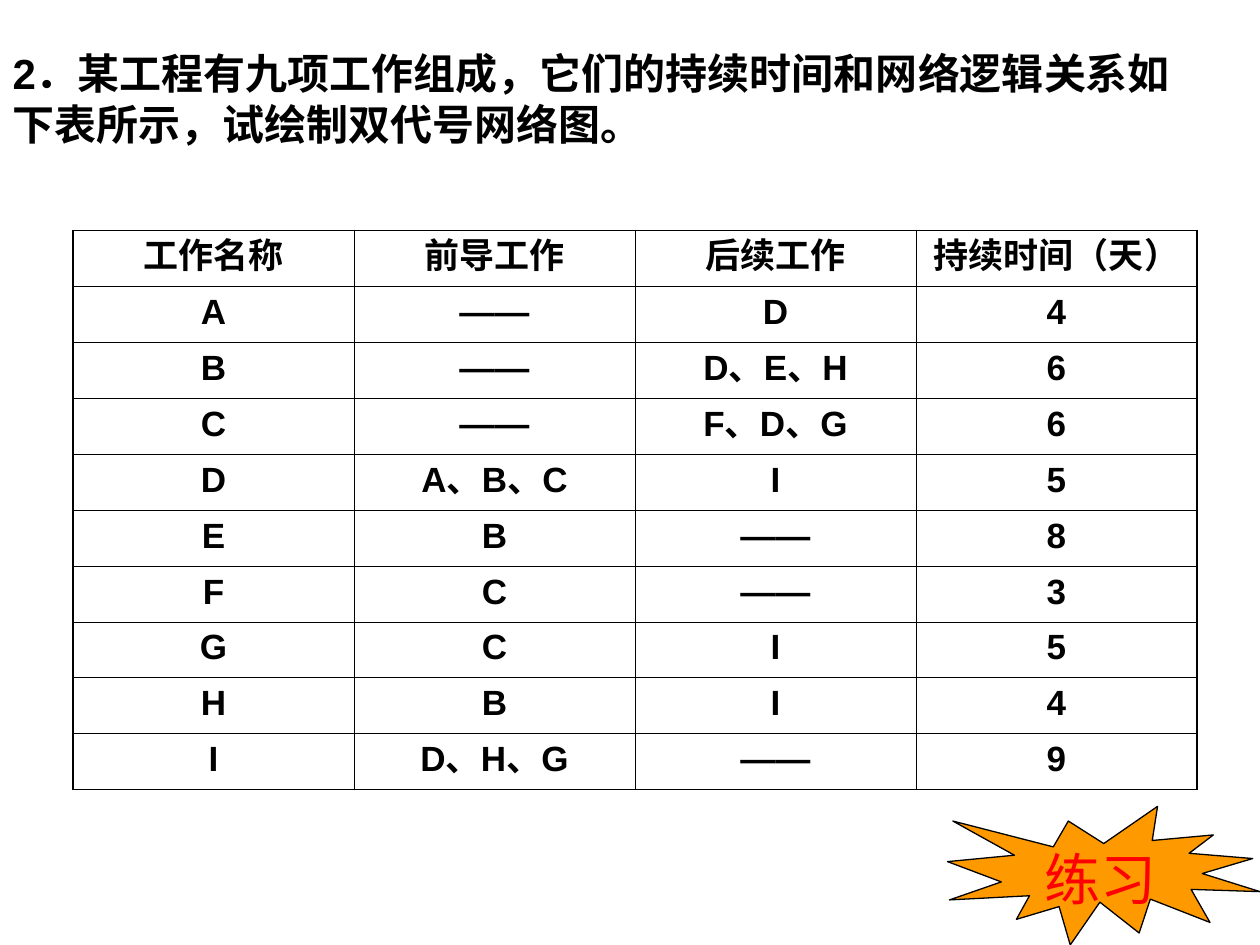
from lxml import etree
from pptx import Presentation
from pptx import util as u
from pptx.dml.color import RGBColor
from pptx.enum import shapes, text
from pptx.oxml import ns

BLACK = RGBColor(0x00, 0x00, 0x00)
RED = RGBColor(0xFF, 0x00, 0x00)
ORANGE = RGBColor(0xFF, 0x99, 0x00)
FONT = "Arial"
INNER_LINE, OUTER_LINE = 0.45, 1.08

HEADING = "2．某工程有九项工作组成，它们的持续时间和网络逻辑关系如下表所示，试绘制双代号网络图。"
TASKS = [
    ("工作名称", "前导工作", "后续工作", "持续时间（天）"),
    ("A", "——", "D", "4"),
    ("B", "——", "D、E、H", "6"),
    ("C", "——", "F、D、G", "6"),
    ("D", "A、B、C", "I", "5"),
    ("E", "B", "——", "8"),
    ("F", "C", "——", "3"),
    ("G", "C", "I", "5"),
    ("H", "B", "I", "4"),
    ("I", "D、H、G", "——", "9"),
]


def inches(box):
    return [u.Inches(length) for length in box]


def write(frame, words, size, color, bold=False, align=text.PP_ALIGN.LEFT):
    paragraph = frame.paragraphs[0]
    paragraph.alignment = align
    run = paragraph.add_run()
    run.text = words
    run.font.size = u.Pt(size)
    run.font.bold = bold
    run.font.color.rgb = color
    run.font.name = FONT
    east_asian = etree.SubElement(run.font._element, ns.qn("a:ea"))
    east_asian.set("typeface", FONT)


def add_heading(slide, box):
    heading = slide.shapes.title
    heading.left, heading.top, heading.width, heading.height = inches(box)
    frame = heading.text_frame
    frame.word_wrap = True
    frame.auto_size = text.MSO_AUTO_SIZE.NONE
    frame.vertical_anchor = text.MSO_ANCHOR.TOP
    write(frame, HEADING, 24, BLACK, bold=True)


def set_borders(cell, widths):
    properties = cell._tc.get_or_add_tcPr()
    for index, (side, width) in enumerate(widths.items()):
        line = etree.Element(ns.qn(f"a:ln{side}"), w=str(u.Pt(width)))
        fill = etree.SubElement(line, ns.qn("a:solidFill"))
        etree.SubElement(fill, ns.qn("a:srgbClr"), val=str(BLACK))
        properties.insert(index, line)


def add_task_table(slide, box):
    row_count, column_count = len(TASKS), len(TASKS[0])
    table = slide.shapes.add_table(row_count, column_count, *inches(box)).table
    table.first_row = table.horz_banding = False
    for r, task in enumerate(TASKS):
        for c, words in enumerate(task):
            cell = table.cell(r, c)
            cell.fill.background()
            write(cell.text_frame, words, 20, BLACK, True, text.PP_ALIGN.CENTER)
            # Heavier lines run along the outside of the table
            on_edge = {"L": c == 0, "R": c == column_count - 1,
                       "T": r == 0, "B": r == row_count - 1}
            set_borders(cell, {side: OUTER_LINE if edge else INNER_LINE
                               for side, edge in on_edge.items()})


def add_exercise_badge(slide, box):
    left, top, width, height = box
    badge = slide.shapes.add_group_shape()
    burst = badge.shapes.add_shape(shapes.MSO_SHAPE.EXPLOSION1, *inches(box))
    burst.shadow.inherit = False
    burst.fill.solid()
    burst.fill.fore_color.rgb = ORANGE
    burst.line.color.rgb = BLACK
    burst.line.width = u.Pt(0.75)
    label = badge.shapes.add_textbox(*inches(
        (left + 0.27 * width, top + 0.23 * height, 0.45 * width, 0.58 * height)))
    label.text_frame.word_wrap = True
    write(label.text_frame, "练习", 32, RED)


def main():
    deck = Presentation()
    deck.slide_width, deck.slide_height = u.Inches(10), u.Inches(7.5)
    slide = deck.slides.add_slide(deck.slide_layouts[5])  # title only
    add_exercise_badge(slide, (7.52, 6.4, 2.48, 1.1))
    add_heading(slide, (0, 0.33, 9.5, 0.9))
    add_task_table(slide, (0.58, 1.83, 8.92, 4.44))
    deck.save("out.pptx")


if __name__ == "__main__":
    main()
